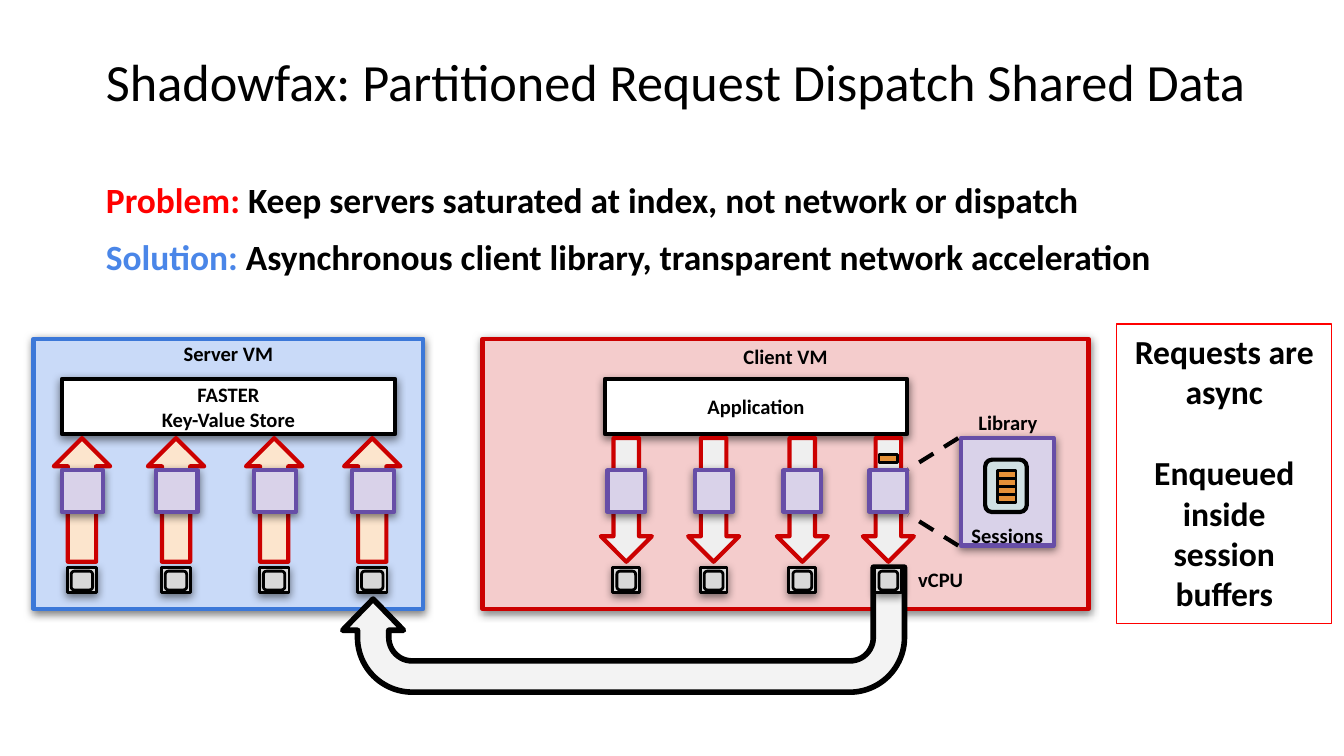
from lxml import etree
from pptx import Presentation
from pptx.dml.color import RGBColor
from pptx.enum.dml import MSO_LINE
from pptx.enum.shapes import MSO_CONNECTOR, MSO_SHAPE
from pptx.enum.text import MSO_ANCHOR, PP_ALIGN
from pptx.oxml.ns import qn
from pptx.util import Emu, Pt

RECT, ROUND = MSO_SHAPE.RECTANGLE, MSO_SHAPE.ROUNDED_RECTANGLE
UP, DOWN, UTURN = MSO_SHAPE.UP_ARROW, MSO_SHAPE.DOWN_ARROW, MSO_SHAPE.U_TURN_ARROW
LEFT, CENTER = PP_ALIGN.LEFT, PP_ALIGN.CENTER
TOP, MIDDLE = MSO_ANCHOR.TOP, MSO_ANCHOR.MIDDLE
STRAIGHT, DASH = MSO_CONNECTOR.STRAIGHT, MSO_LINE.DASH

BLACK = RGBColor(0x00, 0x00, 0x00)
WHITE = RGBColor(0xFF, 0xFF, 0xFF)
RED = RGBColor(0xFF, 0x00, 0x00)
SKY = RGBColor(0x4A, 0x86, 0xE8)
SERVER_FILL = RGBColor(0xC9, 0xDA, 0xF8)
SERVER_LINE = RGBColor(0x3C, 0x78, 0xD8)
CLIENT_FILL = RGBColor(0xF4, 0xCC, 0xCC)
DARK_RED = RGBColor(0xCC, 0x00, 0x00)
CREAM = RGBColor(0xFC, 0xE5, 0xCD)
PALE_GRAY = RGBColor(0xEF, 0xEF, 0xEF)
PATH_FILL = RGBColor(0xF3, 0xF3, 0xF3)
CORE_GRAY = RGBColor(0xD9, 0xD9, 0xD9)
LILAC = RGBColor(0xD9, 0xD2, 0xE9)
PURPLE = RGBColor(0x67, 0x4E, 0xA7)
SESSION_FILL = RGBColor(0xD0, 0xE0, 0xE3)
ORANGE = RGBColor(0xE6, 0x91, 0x38)

FONT = "Calibri"
LABEL_SIZE = 11
PX = 9144  # 100 px to the inch
PAGE_WIDTH, PAGE_HEIGHT = Pt(720), Pt(405)


def px(*values):
    return [Emu(value * PX) for value in values]


def drop_shadow(shape):
    effects = shape._element.spPr.find(qn("a:effectLst"))
    shadow = etree.SubElement(effects, qn("a:outerShdw"), blurRad=str(Pt(4.5)),
                              dist=str(Pt(1.5)), dir="5400000", algn="bl", rotWithShape="0")
    color = etree.SubElement(shadow, qn("a:srgbClr"), val="000000")
    etree.SubElement(color, qn("a:alpha"), val="50000")


def draw(parent, kind, box, fill, line, weight=2.25, shadow=False):
    shape = parent.shapes.add_shape(kind, *px(*box))
    shape.shadow.inherit = False
    if fill is None:
        shape.fill.background()
    else:
        shape.fill.solid()
        shape.fill.fore_color.rgb = fill
    shape.line.color.rgb = line
    shape.line.width = Pt(weight)
    if shadow:
        drop_shadow(shape)
    return shape


def write(shape, paras, size=LABEL_SIZE, bold=True, align=CENTER, anchor=MIDDLE,
          margins=(10, 0), spacing=None, before=0):
    """Each paragraph is a list of (text, color) spans."""
    frame = shape.text_frame
    frame.word_wrap = True
    frame.vertical_anchor = anchor
    frame.margin_left, frame.margin_top = px(*margins)
    frame.margin_right, frame.margin_bottom = px(*margins)
    for index, spans in enumerate(paras):
        para = frame.add_paragraph() if index else frame.paragraphs[0]
        para.alignment = align
        if spacing:
            para.line_spacing = spacing
        if index and before:
            para.space_before = Pt(before)
        for text, color in spans:
            span = para.add_run()
            span.text = text
            span.font.name = FONT
            span.font.size = Pt(size)
            span.font.bold = bold
            span.font.color.rgb = color


def label(page, box, text):
    write(page.shapes.add_textbox(*px(*box)), [[(text, BLACK)]])


# One vCPU: a square with a rounded core
def vcpu(page, box):
    x, y, w, h = box
    group = page.shapes.add_group_shape()
    draw(group, RECT, box, CORE_GRAY, BLACK, 1.5, shadow=True)
    draw(group, ROUND, (x + 3, y + 3, w - 6, h - 5), CORE_GRAY, BLACK, 1.5)


# One request lane: an arrow with a library block across it
def lane(page, box, kind, fill, block_width):
    x, y, w, h = box
    draw(page, kind, box, fill, DARK_RED)
    draw(page, RECT, (x + (w - block_width + 1) // 2, y + 24, block_width, 31),
         LILAC, PURPLE, shadow=True)


def machine(page, box, name, name_inset, fill, line):
    panel = draw(page, RECT, box, fill, line, shadow=True)
    write(panel, [[(name, BLACK)]], anchor=TOP, margins=(10, name_inset))


def server(page, box):
    x, y, w, h = box
    machine(page, box, "Server VM", 2, SERVER_FILL, SERVER_LINE)
    store = draw(page, RECT, (x + 21, y + 30, 248, 41), WHITE, BLACK, shadow=True)
    write(store, [[("FASTER", BLACK)], [("Key-Value Store", BLACK)]])
    for center in (36, 106, 179, 252):
        lane(page, (x + center - 21, y + 74, 42, 92), UP, CREAM, 31)
        vcpu(page, (x + center - 11, y + 170, 22, 19))


def client(page, box):
    x, y, w, h = box
    machine(page, box, "Client VM", 4, CLIENT_FILL, DARK_RED)
    app = draw(page, RECT, (x + 91, y + 30, 225, 41), WHITE, BLACK, shadow=True)
    write(app, [[("Application", BLACK)]])
    for index, center in enumerate((107, 172, 238, 302)):
        lane(page, (x + center - 19, y + 74, 38, 92), DOWN, PALE_GRAY, 28)
        if index < 3:  # the last vCPU lies over the request path
            vcpu(page, (x + center - 10, y + 170, 20, 19))
    draw(page, RECT, (x + 295, y + 86, 14, 6), ORANGE, BLACK, 1.5)
    label(page, (x + 299, y + 164, 84, 30), "vCPU")


# Enlarged view of the library block
def library(page, box):
    x, y, w, h = box
    draw(page, RECT, box, LILAC, PURPLE, shadow=True)
    label(page, (x - 9, y - 27, w + 19, 30), "Library")
    group = page.shapes.add_group_shape()
    draw(group, ROUND, (x + 18, y + 16, 31, 39), SESSION_FILL, BLACK)
    for index in range(4):
        draw(group, RECT, (x + 27, y + 24 + 6 * index, 14, 6), ORANGE, BLACK, 1.5)
    label(page, (x - 5, y + 63, w + 10, 19), "Sessions")
    for start, end in ((h, h - 23), (0, 23)):
        ray = page.shapes.add_connector(STRAIGHT, *px(x - 2, y + start, x - 39, y + end))
        ray.line.color.rgb = BLACK
        ray.line.width = Pt(2.25)
        ray.line.dash_style = DASH
        etree.SubElement(ray._element.spPr, qn("a:effectLst"))


def request_path(page, box):
    x, y, w, h = box
    arrow = draw(page, UTURN, box, PATH_FILL, BLACK, 3)
    arrow.rotation = 180
    for index, value in enumerate((0.25, 0.243, 0.25, 0.438, 0.745)):
        arrow.adjustments[index] = value
    vcpu(page, (x + w - 22, y, 20, 19))


def heading(page, box):
    x, y, w, h = box
    title = page.shapes.add_textbox(*px(x, y, w, 82))
    write(title, [[("Shadowfax: Partitioned Request Dispatch Shared Data", BLACK)]],
          size=28, bold=False, align=LEFT, margins=(10, 5), spacing=0.9)
    body = page.shapes.add_textbox(*px(x, y + 109, w - 32, 74))
    write(body, [
        [("Problem:", RED),
         (" Keep servers saturated at index, not network or dispatch", BLACK)],
        [("Solution: ", SKY),
         ("Asynchronous client library, transparent network acceleration", BLACK)],
    ], size=19, align=LEFT, anchor=TOP, margins=(10, 5), spacing=0.9, before=10)


def callout(page, box):
    note = draw(page, RECT, box, None, RED, 0.75)
    write(note, [[("Requests are async", BLACK)],
                 [("Enqueued inside session buffers", BLACK)]],
          size=18, anchor=TOP, margins=(10, 5), before=22)


def main():
    deck = Presentation()
    deck.slide_width, deck.slide_height = PAGE_WIDTH, PAGE_HEIGHT
    page = deck.slides.add_slide(deck.slide_layouts[6])
    heading(page, (69, 22, 894, 183))
    server(page, (25, 252, 290, 201))
    client(page, (359, 252, 451, 201))
    library(page, (715, 326, 69, 80))
    callout(page, (831, 241, 160, 223))
    request_path(page, (255, 422, 418, 93))
    deck.save("out.pptx")


if __name__ == "__main__":
    main()
